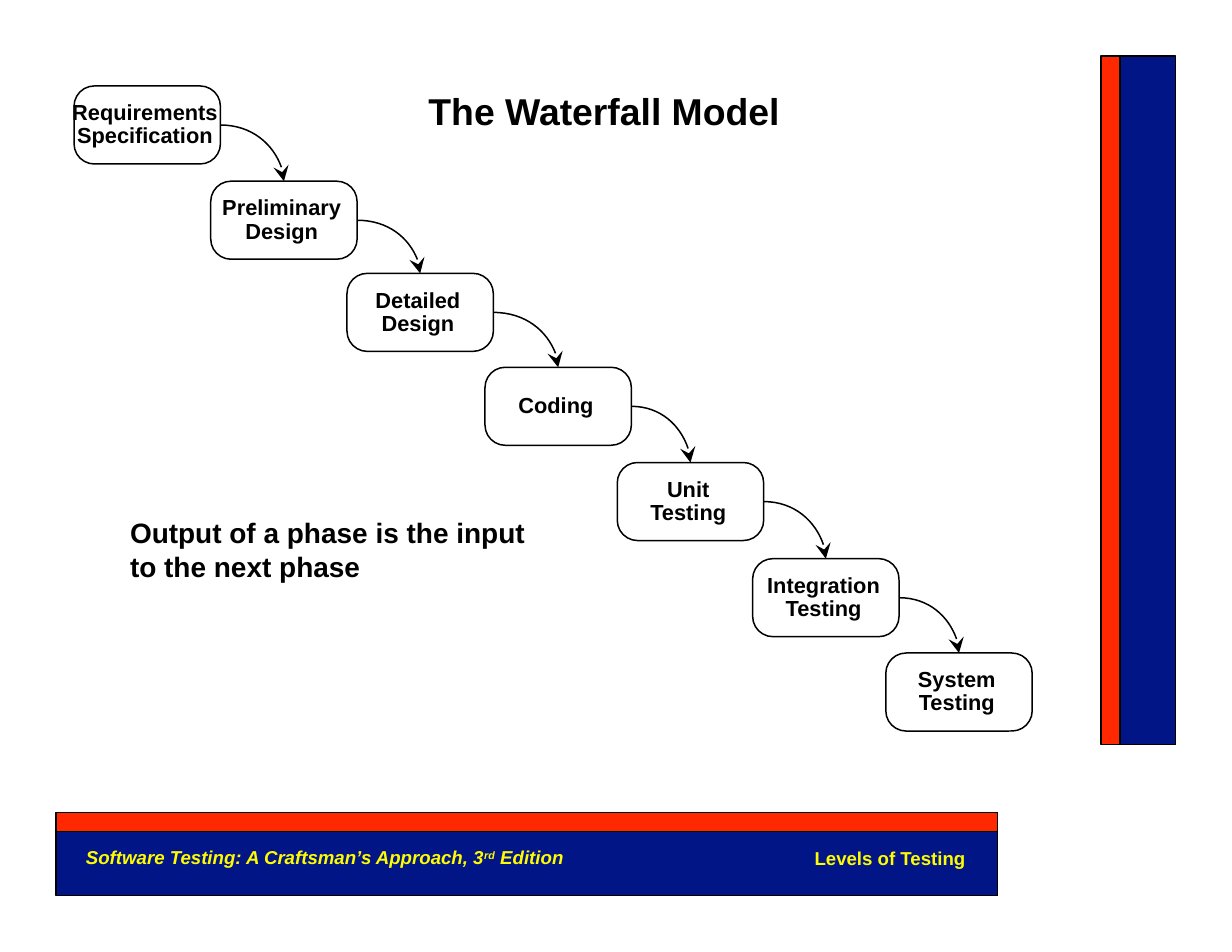
from dataclasses import dataclass
from itertools import pairwise

from pptx import Presentation
from pptx.dml.color import RGBColor
from pptx.enum.shapes import MSO_CONNECTOR, MSO_SHAPE
from pptx.enum.text import MSO_ANCHOR, PP_ALIGN
from pptx.oxml.ns import qn
from pptx.util import Cm, Pt
from lxml import etree

RECTANGLE = MSO_SHAPE.RECTANGLE
ROUNDED = MSO_SHAPE.ROUNDED_RECTANGLE
CURVE = MSO_CONNECTOR.CURVE
LEFT, CENTER, RIGHT = PP_ALIGN.LEFT, PP_ALIGN.CENTER, PP_ALIGN.RIGHT
MIDDLE = MSO_ANCHOR.MIDDLE
TITLE_ONLY = 5
TOP_SITE, RIGHT_SITE = 0, 3


@dataclass(frozen=True)
class Theme:
    font: str = "Arial"
    ink: RGBColor = RGBColor(0x00, 0x00, 0x00)
    navy: RGBColor = RGBColor(0x02, 0x15, 0x87)
    red: RGBColor = RGBColor(0xFF, 0x28, 0x00)
    yellow: RGBColor = RGBColor(0xFF, 0xFC, 0x00)
    title_size: float = 24
    note_size: float = 18
    stage_size: float = 14
    footer_size: float = 12
    bar_line: float = 0.72
    stage_line: float = 0.96


THEME = Theme()
STAGE_WIDTH, STAGE_HEIGHT = 3.32, 1.77

# label, left and top in centimetres
STAGES = [
    ("Requirements\nSpeciﬁcation", 1.68, 1.95),
    ("Preliminary\nDesign", 4.78, 4.11),
    ("Detailed\nDesign", 7.87, 6.2),
    ("Coding", 11, 8.33),
    ("Unit\nTesting", 14, 10.49),
    ("Integration\nTesting", 17.07, 12.67),
    ("System\nTesting", 20.09, 14.81),
]

# left, top, width, height in centimetres, and fill
BARS = [
    (25.4, 1.27, 1.27, 15.62, THEME.navy),
    (24.97, 1.27, 0.43, 15.62, THEME.red),
    (1.27, 18.85, 21.36, 1.47, THEME.navy),
    (1.27, 18.42, 21.36, 0.43, THEME.red),
]


def write_text(frame, text, *, size, color=THEME.ink, align=LEFT,
               italic=False, pitch=None, wrap=True):
    """Fill a frame; newlines break lines and ^marks^ enclose superscript."""
    frame.margin_left = frame.margin_top = frame.margin_bottom = 0
    frame.margin_right = 0
    frame.word_wrap = wrap
    frame.vertical_anchor = MIDDLE
    paragraph = frame.paragraphs[0]
    paragraph.alignment = align
    if pitch:
        paragraph.line_spacing = Pt(pitch)
    for number, line in enumerate(text.split("\n")):
        if number:
            paragraph.add_line_break()
        for position, part in enumerate(line.split("^")):
            run = paragraph.add_run()
            run.text = part
            font = run.font
            font.name, font.size = THEME.font, Pt(size)
            font.bold, font.italic = True, italic
            font.color.rgb = color
            if position % 2:
                run._r.get_or_add_rPr().set("baseline", "28000")


def add_label(slide, text, left, top, width, height, **text_format):
    box = slide.shapes.add_textbox(Cm(left), Cm(top), Cm(width), Cm(height))
    write_text(box.text_frame, text, **text_format)


def add_title(slide, text):
    title = slide.shapes.title
    title.left, title.top = Cm(9.3), Cm(1.98)
    title.width, title.height = Cm(8.8), Cm(1.06)
    write_text(title.text_frame, text, size=THEME.title_size,
               align=CENTER, wrap=False)


def add_bar(slide, left, top, width, height, color):
    bar = slide.shapes.add_shape(RECTANGLE, Cm(left), Cm(top),
                                 Cm(width), Cm(height))
    bar.shadow.inherit = False
    bar.fill.solid()
    bar.fill.fore_color.rgb = color
    bar.line.color.rgb = THEME.ink
    bar.line.width = Pt(THEME.bar_line)


def add_stage(slide, text, left, top):
    stage = slide.shapes.add_shape(ROUNDED, Cm(left), Cm(top),
                                   Cm(STAGE_WIDTH), Cm(STAGE_HEIGHT))
    stage.adjustments[0] = 0.26
    stage.shadow.inherit = False
    stage.fill.background()
    stage.line.color.rgb = THEME.ink
    stage.line.width = Pt(THEME.stage_line)
    write_text(stage.text_frame, text, size=THEME.stage_size,
               align=CENTER, pitch=15, wrap=False)
    stage.text_frame.margin_right = Cm(0.1)
    return stage


def add_flow(slide, source, target):
    """Curve from the right side of one stage down to the top of the next."""
    flow = slide.shapes.add_connector(CURVE, 0, 0, 0, 0)
    flow.begin_connect(source, RIGHT_SITE)
    flow.end_connect(target, TOP_SITE)
    flow.line.color.rgb = THEME.ink
    flow.line.width = Pt(THEME.stage_line)
    properties = flow._element.spPr
    properties.find(qn("a:prstGeom")).set("prst", "curvedConnector2")
    etree.SubElement(properties.find(qn("a:ln")), qn("a:tailEnd"),
                     type="stealth", w="lg", len="lg")
    etree.SubElement(properties, qn("a:effectLst"))


def main():
    deck = Presentation()
    deck.slide_width, deck.slide_height = Cm(27.94), Cm(21.59)
    slide = deck.slides.add_slide(deck.slide_layouts[TITLE_ONLY])

    for bar in BARS:
        add_bar(slide, *bar)
    add_title(slide, "The Waterfall Model")

    stages = [add_stage(slide, *stage) for stage in STAGES]
    for source, target in pairwise(stages):
        add_flow(slide, source, target)

    add_label(slide, "Output of a phase is the input\nto the next phase",
              2.95, 11.7, 9.3, 1.5, size=THEME.note_size, pitch=22)
    add_label(slide, "Software Testing: A Craftsman’s Approach, 3^rd^ Edition",
              1.95, 19.18, 11.3, 0.53, size=THEME.footer_size,
              color=THEME.yellow, italic=True)
    add_label(slide, "Levels of Testing", 18.4, 19.2, 3.5, 0.5,
              size=THEME.footer_size, color=THEME.yellow, align=RIGHT)

    deck.save("out.pptx")


if __name__ == "__main__":
    main()
